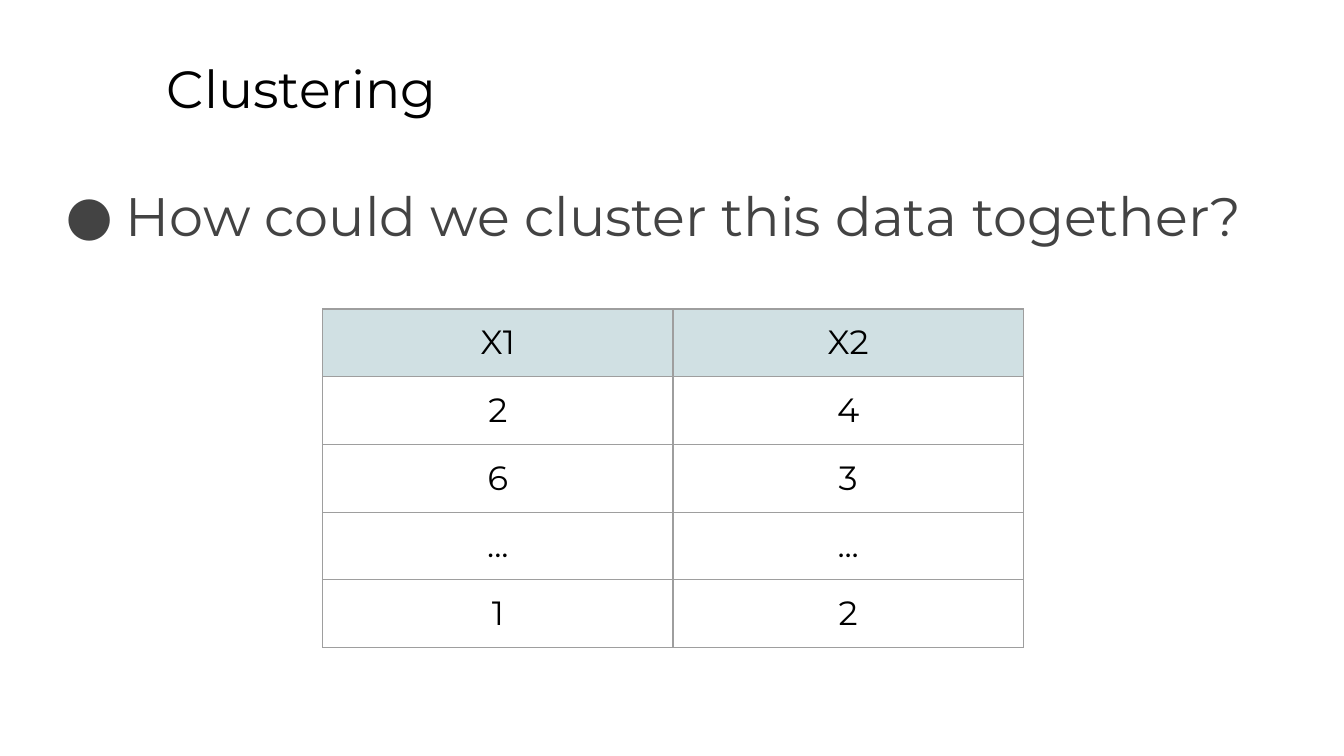
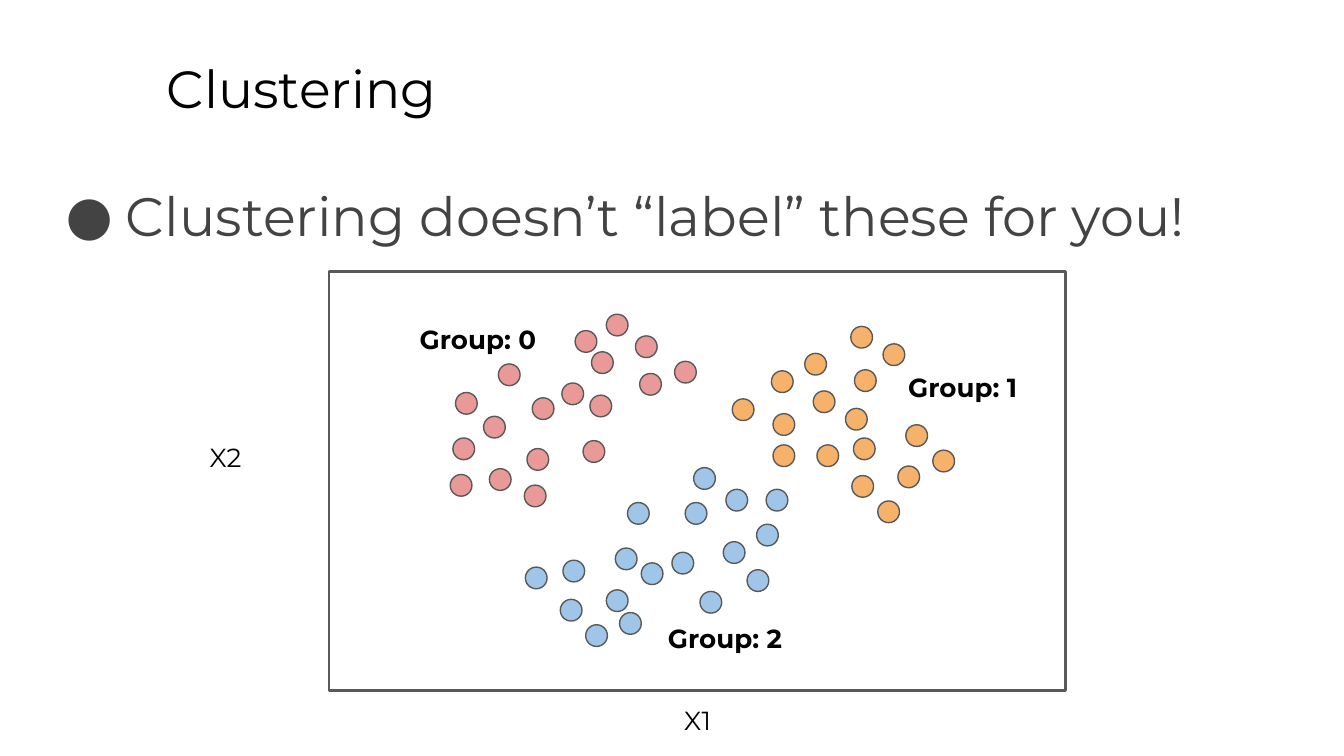
"""Builds two slides that introduce clustering."""
from dataclasses import dataclass

from lxml.etree import SubElement
from pptx import Presentation
from pptx.dml.color import RGBColor
from pptx.enum.shapes import MSO_SHAPE
from pptx.enum.text import PP_ALIGN
from pptx.oxml.ns import qn
from pptx.util import Cm, Pt


@dataclass(frozen=True)
class Theme:
    """Colours, font, type sizes and line widths."""
    font: str = "Montserrat"
    black: str = "000000"
    body: str = "434343"
    outline: str = "595959"
    border: str = "9E9E9E"
    header: str = "D0E0E3"
    red: str = "EA9999"
    orange: str = "F6B26B"
    blue: str = "9FC5E8"
    title_size: int = 28
    body_size: int = 29
    cell_size: int = 18
    label_size: int = 14
    thin: float = 0.75
    thick: float = 1.5


THEME = Theme()
INSET = 0.25
DOT_SIZE = 0.41
LABEL_WIDTH = 2.77

TABLE_ROWS = [("X1", "X2"), ("2", "4"), ("6", "3"), ("...", "..."), ("1", "2")]

GROUPS = [
    ("Group: 2", (12.32, 11.51), THEME.blue, [
        (11.71, 11.58), (12.7, 10.44), (12.95, 9.5), (13.23, 11.18), (11.86, 9.5),
        (12.12, 10.64), (13.67, 10.24), (14.48, 9.25), (14.3, 9.91), (14.12, 10.77),
        (13.72, 9.25), (13.11, 8.84), (11.63, 10.36), (10.64, 10.59), (11.07, 11.81),
        (10.59, 11.33), (9.93, 10.72), (11.46, 11.15)]),
    ("Group: 1", (16.81, 6.78), THEME.orange, [
        (13.84, 7.54), (14.61, 8.41), (14.61, 7.82), (16.08, 6.17), (15.21, 6.68),
        (15.98, 7.72), (15.37, 7.39), (14.58, 7.01), (16.15, 6.99), (16.69, 6.5),
        (17.12, 8.03), (16.13, 8.28), (16.59, 9.47), (16.1, 8.99), (15.44, 8.41),
        (16.97, 8.81), (17.63, 8.51)]),
    ("Group: 0", (7.65, 5.87), THEME.red, [
        (10.87, 6.25), (10.06, 7.52), (9.96, 8.48), (9.42, 6.88), (11.02, 8.33),
        (10.62, 7.24), (9.14, 7.87), (8.51, 8.97), (8.56, 8.28), (8.61, 7.42),
        (9.25, 8.86), (9.91, 9.17), (11.15, 7.47), (12.09, 7.06), (11.46, 5.94),
        (12.01, 6.35), (12.75, 6.83), (11.18, 6.65)]),
]


class SlideBuilder:
    """Holds the theme and the current page and draws each kind of element."""

    def __init__(self, deck, theme):
        """Keep the deck and the theme."""
        self.deck = deck
        self.theme = theme
        self.page = None

    def new_page(self, title, point, point_height):
        """Start a page with its title and one bullet point."""
        self.page = self.deck.slides.add_slide(self.deck.slide_layouts[6])
        self.text(title, 2.9, 0.81, 21.64, 1.6, self.theme.title_size, align=PP_ALIGN.LEFT)
        box = self.text(point, 0.86, 3.2, 24.13, point_height, self.theme.body_size,
                        color=self.theme.body, align=PP_ALIGN.LEFT)
        self.bullet(box.text_frame.paragraphs[0])

    def format_text(self, frame, size, color, align, bold=False):
        """Apply insets, alignment and font to a text frame."""
        frame.margin_left = frame.margin_right = Cm(INSET)
        frame.margin_top = frame.margin_bottom = Cm(INSET)
        for para in frame.paragraphs:
            para.alignment = align
            for span in para.runs:
                span.font.name = self.theme.font
                span.font.size = Pt(size)
                span.font.bold = bold
                span.font.color.rgb = RGBColor.from_string(color)

    def text(self, words, left, top, width, height, size,
             color=THEME.black, align=PP_ALIGN.CENTER, bold=False):
        """Add a wrapped text box."""
        box = self.page.shapes.add_textbox(Cm(left), Cm(top), Cm(width), Cm(height))
        box.text_frame.word_wrap = True
        box.text_frame.text = words
        self.format_text(box.text_frame, size, color, align, bold)
        return box

    def bullet(self, para):
        """Give a paragraph a round bullet and a hanging indent."""
        properties = para._p.get_or_add_pPr()
        properties.set("marL", str(Cm(1.27)))
        properties.set("indent", str(-Cm(1.14)))
        color = SubElement(properties, qn("a:buClr"))
        SubElement(color, qn("a:srgbClr"), val=self.theme.body)
        SubElement(properties, qn("a:buFont"), typeface=self.theme.font)
        SubElement(properties, qn("a:buChar"), char="●")

    def shape(self, kind, left, top, width, height, line_width, fill=None):
        """Add an outlined shape, filled when a colour is given."""
        shape = self.page.shapes.add_shape(kind, Cm(left), Cm(top), Cm(width), Cm(height))
        shape.shadow.inherit = False
        if fill:
            shape.fill.solid()
            shape.fill.fore_color.rgb = RGBColor.from_string(fill)
        else:
            shape.fill.background()
        shape.line.color.rgb = RGBColor.from_string(self.theme.outline)
        shape.line.width = Pt(line_width)

    def borders(self, cell):
        """Draw a thin line on all four sides of a cell."""
        properties = cell._tc.get_or_add_tcPr()
        for position, side in enumerate(("lnL", "lnR", "lnT", "lnB")):
            line = SubElement(properties, qn(f"a:{side}"), w=str(Pt(self.theme.thin)))
            fill = SubElement(line, qn("a:solidFill"))
            SubElement(fill, qn("a:srgbClr"), val=self.theme.border)
            properties.insert(position, line)

    def table(self, rows, left, top, column_width, row_height):
        """Add a bordered table with a tinted header row."""
        columns = len(rows[0])
        table = self.page.shapes.add_table(
            len(rows), columns, Cm(left), Cm(top),
            Cm(column_width * columns), Cm(row_height * len(rows))).table
        table.first_row = table.horz_banding = False
        for row_index, row in enumerate(rows):
            for column_index, words in enumerate(row):
                cell = table.cell(row_index, column_index)
                cell.text_frame.text = words
                self.format_text(cell.text_frame, self.theme.cell_size,
                                 self.theme.black, PP_ALIGN.CENTER)
                cell.margin_left = cell.margin_right = Cm(INSET)
                cell.margin_top = cell.margin_bottom = Cm(INSET)
                if row_index == 0:
                    cell.fill.solid()
                    cell.fill.fore_color.rgb = RGBColor.from_string(self.theme.header)
                else:
                    cell.fill.background()
                self.borders(cell)

    def scatter(self, groups):
        """Draw the dots of each group, the plot frame and all labels."""
        size = self.theme.label_size
        for words, left, top in (("X1", 11.33, 13.06), ("X2", 2.41, 8.1)):
            self.text(words, left, top, 3.71, 0.64, size)
        for _, _, color, dots in groups:
            for left, top in dots:
                self.shape(MSO_SHAPE.OVAL, left, top, DOT_SIZE, DOT_SIZE,
                           self.theme.thin, color)
        self.shape(MSO_SHAPE.RECTANGLE, 6.22, 5.13, 13.92, 7.92, self.theme.thick)
        for name, (left, top), _, _ in reversed(groups):
            self.text(name, left, top, LABEL_WIDTH, 1.12, size, bold=True)


def main():
    """Build and save the deck."""
    deck = Presentation()
    deck.slide_width, deck.slide_height = Cm(25.4), Cm(14.29)
    builder = SlideBuilder(deck, THEME)

    builder.new_page("Clustering", "How could we cluster this data together?", 9.5)
    builder.table(TABLE_ROWS, 6.1, 5.84, 6.62, 1.28)

    builder.new_page("Clustering", "Clustering doesn’t “label” these for you!", 2.39)
    builder.scatter(GROUPS)

    deck.save("out.pptx")


if __name__ == "__main__":
    main()
